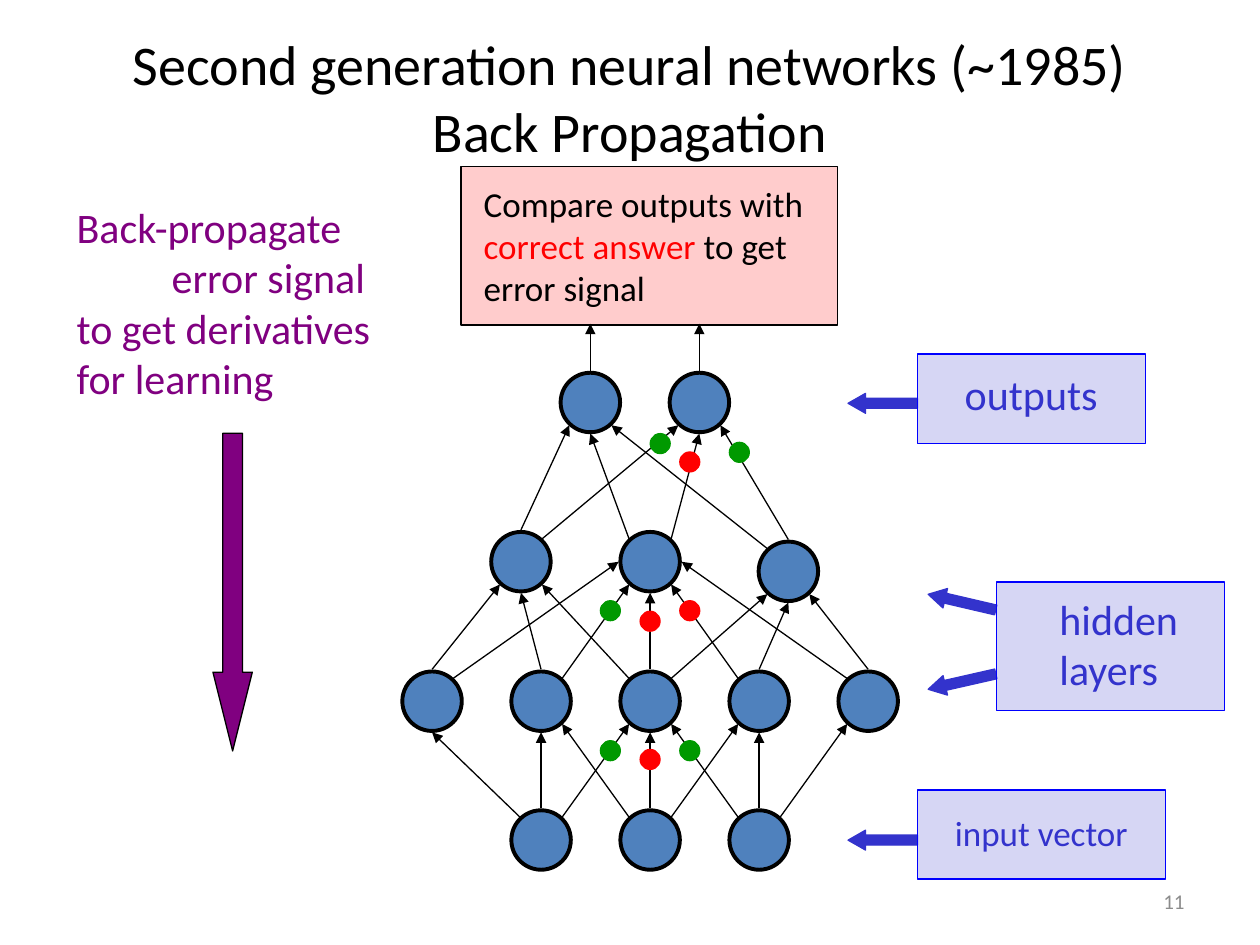
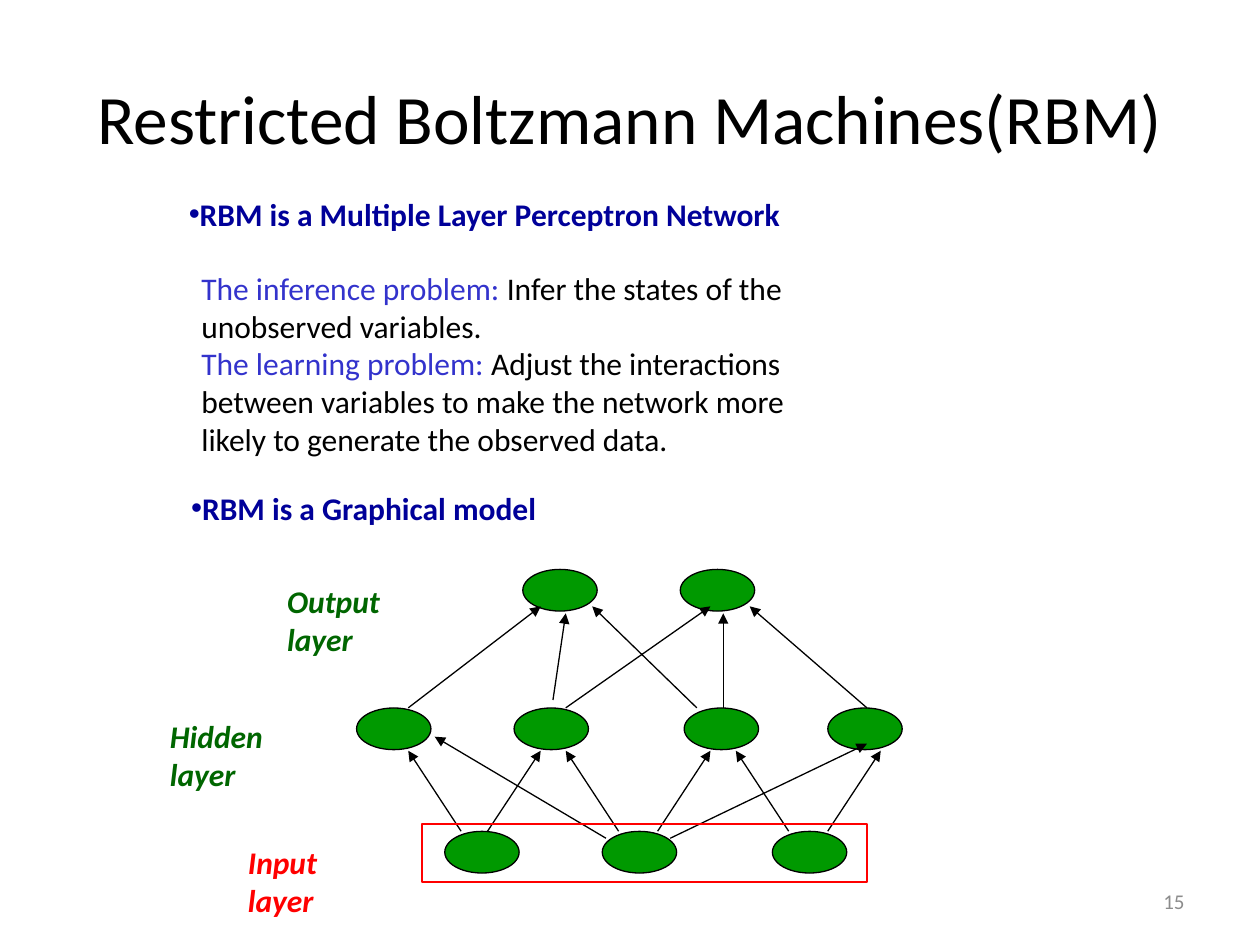
from lxml import etree
from pptx import Presentation
from pptx.dml.color import RGBColor
from pptx.enum import shapes, text
from pptx.oxml.ns import qn
from pptx.util import Pt

FONT = "Calibri"
BLACK = RGBColor(0x00, 0x00, 0x00)
GREY = RGBColor(0x8C, 0x8C, 0x8C)
RED = RGBColor(0xFF, 0x00, 0x00)
GREEN = RGBColor(0x00, 0x99, 0x00)
DARK_GREEN = RGBColor(0x00, 0x66, 0x00)
STEEL = RGBColor(0x4F, 0x81, 0xBD)
INDIGO = RGBColor(0x33, 0x33, 0xCC)
BLUE = RGBColor(0x00, 0x00, 0xFF)
NAVY = RGBColor(0x00, 0x00, 0x99)
PURPLE = RGBColor(0x80, 0x00, 0x80)

OVAL = shapes.MSO_SHAPE.OVAL
RECTANGLE = shapes.MSO_SHAPE.RECTANGLE
LEFT_ARROW = shapes.MSO_SHAPE.LEFT_ARROW
DOWN_ARROW = shapes.MSO_SHAPE.DOWN_ARROW


# Shared building parts

def add_shape(slide, kind, left, top, width, height, fill=None, line=BLACK,
              weight=0.75, opacity=None, adjustments=(), rotation=0):
    shape = slide.shapes.add_shape(kind, Pt(left), Pt(top), Pt(width), Pt(height))
    shape.shadow.inherit = False
    shape.rotation = rotation
    for index, value in enumerate(adjustments):
        shape.adjustments[index] = value
    if fill is None:
        shape.fill.background()
    else:
        shape.fill.solid()
        shape.fill.fore_color.rgb = fill
    if opacity is not None:
        color = shape._element.spPr.find(qn("a:solidFill")).find(qn("a:srgbClr"))
        etree.SubElement(color, qn("a:alpha"), val=str(opacity * 1000))
    shape.line.color.rgb = line
    shape.line.width = Pt(weight)
    return shape


def add_centered_oval(slide, x, y, width, height, fill, line=BLACK, weight=0.75):
    add_shape(slide, OVAL, x - width / 2, y - height / 2, width, height, fill, line, weight)


def add_arrow(slide, x1, y1, x2, y2):
    connector = slide.shapes.add_connector(
        shapes.MSO_CONNECTOR.STRAIGHT, Pt(x1), Pt(y1), Pt(x2), Pt(y2))
    connector.line.color.rgb = BLACK
    connector.line.width = Pt(0.75)
    properties = connector._element.spPr
    etree.SubElement(properties.find(qn("a:ln")), qn("a:tailEnd"), type="triangle")
    etree.SubElement(properties, qn("a:effectLst"))


def add_text(slide, left, top, width, height, paragraphs, size, color=BLACK,
             bold=False, italic=False, align=text.PP_ALIGN.LEFT,
             anchor=text.MSO_ANCHOR.TOP, wrap=True, bullet=False, indents=()):
    """Each paragraph is a string or a list of (words, color) runs."""
    box = slide.shapes.add_textbox(Pt(left), Pt(top), Pt(width), Pt(height))
    frame = box.text_frame
    frame.word_wrap = wrap
    frame.vertical_anchor = anchor
    for index, content in enumerate(paragraphs):
        paragraph = frame.add_paragraph() if index else frame.paragraphs[0]
        paragraph.alignment = align
        properties = paragraph._p.get_or_add_pPr()
        if indents:
            properties.set("marL", str(Pt(indents[index])))
        if bullet:
            etree.SubElement(properties, qn("a:buFont"), typeface="Arial")
            etree.SubElement(properties, qn("a:buChar"), char="•")
        font = paragraph.font
        font.name, font.size, font.bold, font.italic = FONT, Pt(size), bold, italic
        if isinstance(content, str):
            paragraph.text = content
            font.color.rgb = color
        else:
            for words, run_color in content:
                run = paragraph.add_run()
                run.text = words
                run.font.color.rgb = run_color


def add_title(slide, top, height, title, size):
    add_text(slide, 36, top, 648, height, [title], size,
             align=text.PP_ALIGN.CENTER, anchor=text.MSO_ANCHOR.MIDDLE)


def add_page_number(slide, number):
    add_text(slide, 516, 500.5, 168, 28.8, [str(number)], 12, GREY,
             align=text.PP_ALIGN.RIGHT, anchor=text.MSO_ANCHOR.MIDDLE)


# Back propagation slide

# Points around a neuron where arrows start or end
PORTS = {
    "top": (0, -18.2), "bottom": (0, 17.8), "left": (-18, 0), "right": (18, 0),
    "top left": (-12, -13), "top right": (12, -13),
    "bottom left": (-12, 13), "bottom right": (12, 13),
}

# Source neuron, its port, target neuron in the next layer, its port
INPUT_EDGES = [
    edge for i in range(3) for edge in (
        (i, "top left", i, "bottom right" if i else "bottom"),
        (i, "top", i + 1, "bottom"),
        (i, "top right", i + 2, "bottom left"))
]
HIDDEN_EDGES = [
    (0, "top", 0, "bottom left"), (0, "top right", 1, "left"),
    (1, "top", 0, "bottom"), (1, "top right", 1, "bottom left"),
    (2, "top left", 0, "bottom right"), (2, "top", 1, "bottom"),
    (2, "top right", 2, "bottom left"),
    (3, "top left", 1, "bottom right"), (3, "top", 2, "bottom"),
    (4, "top left", 1, "right"), (4, "top", 2, "bottom right"),
]
OUTPUT_EDGES = [
    (0, "top", 0, "bottom left"), (0, "top right", 1, "bottom left"),
    (1, "top left", 0, "bottom"), (1, "top right", 1, "bottom"),
    (2, "top left", 0, "bottom right"), (2, "top", 1, "bottom right"),
]

# Offset from the middle axis, height, colour
WEIGHT_CHANGES = [
    (-22.7, 244, GREEN), (22.7, 244, GREEN), (5.8, 68.5, GREEN), (51, 73.5, GREEN),
    (-22.7, 164, GREEN), (22.7, 164, RED), (0, 170, RED), (0, 249, RED), (22.7, 79, RED),
]


def draw_deep_network(slide, left, top):
    axis, pitch = left + 141.5, 62.3

    def layer(count, y, center):
        return [(center + (i - (count - 1) / 2) * pitch, top + y) for i in range(count)]

    inputs = layer(3, 295, axis)
    lower = layer(5, 215.7, axis)
    upper = [(axis - 73.8, top + 136), (axis, top + 136), (axis + 79, top + 141.5)]
    outputs = layer(2, 45, axis - 3)

    for x, y in inputs + lower + upper + outputs:
        add_centered_oval(slide, x, y, 34, 34, STEEL, weight=2.25)
    for sources, targets, edges in ((inputs, lower, INPUT_EDGES),
                                    (lower, upper, HIDDEN_EDGES),
                                    (upper, outputs, OUTPUT_EDGES)):
        for source, start, target, end in edges:
            (x1, y1), (x2, y2) = sources[source], targets[target]
            (dx1, dy1), (dx2, dy2) = PORTS[start], PORTS[end]
            add_arrow(slide, x1 + dx1, y1 + dy1, x2 + dx2, y2 + dy2)
    for x, y in outputs:
        add_arrow(slide, x, y - 18, x, top)
    for dx, y, color in WEIGHT_CHANGES:
        add_centered_oval(slide, axis + dx, top + y, 11.4, 11.4, color, color)


def draw_layer_label(slide, left, top, width, height, label, size, inset, arrows):
    """inset is the text box's left, top and width; arrows are (top, rotation)."""
    dx, dy, text_width = inset
    add_text(slide, left + dx, top + dy, text_width, height - 2 * dy, [label], size, INDIGO)
    for arrow_top, rotation in arrows:
        add_shape(slide, LEFT_ARROW, left - 39.6, top + arrow_top, 39.6, 11.4,
                  INDIGO, INDIGO, adjustments=(0.5, 0.88), rotation=rotation)
    add_shape(slide, RECTANGLE, left, top, width, height, INDIGO, BLUE, opacity=20)


def draw_comparison(slide, left, top):
    add_shape(slide, RECTANGLE, left, top, 215.3, 90.7, RED, opacity=20)
    add_text(slide, left + 5.8, top + 5.8, 215.3, 79.2, [
        [("Compare outputs with ", BLACK), ("correct answer", RED),
         (" to get error signal", BLACK)]], 20)


def draw_error_signal(slide, left, top):
    add_text(slide, left, top, 193, 122.4,
             ["Back-propagate", "error signal", "to get derivatives for learning"],
             24, PURPLE, indents=(0, 54.3, 0))
    add_shape(slide, DOWN_ARROW, left + 85, top + 136, 22.5, 181.5, PURPLE,
              adjustments=(0.5, 2))


def build_back_propagation(slide):
    draw_comparison(slide, 263.5, 95)
    add_title(slide, 9.4, 91.4,
              "Second generation neural networks (~1985)\nBack Propagation", 32)
    draw_deep_network(slide, 230, 185)
    draw_layer_label(slide, 524.2, 202.3, 130.3, 51, "outputs", 24,
                     (20, 5, 121.7), [(22.5, 0)])
    draw_layer_label(slide, 569.5, 332.6, 130.3, 73.4, "hidden layers", 24,
                     (28.8, 3, 90.7), [(5.8, 13.1), (51.2, -12.8)])
    draw_layer_label(slide, 524.2, 451.4, 141.8, 51, "input vector", 20,
                     (14.4, 8.6, 127.4), [(23, 0)])
    draw_error_signal(slide, 36.7, 111.6)
    add_page_number(slide, 11)


# Restricted Boltzmann machine slide

# Neuron centres by layer: height, then horizontal places
RBM_LAYERS = [(167, (75.4, 165.4, 262.6)),
              (96.5, (25, 115, 212.2, 294.3)),
              (17.3, (120, 210))]

# Start x, y and end x, y
RBM_ARROWS = [
    # Input to hidden
    (63.5, 155, 33.3, 109), (78.6, 155, 109, 109), (146.3, 159, 48.4, 101),
    (153.5, 155, 123.3, 109), (175.8, 155, 206, 109), (183, 159, 295.4, 105),
    (250.7, 155, 220.5, 109), (273, 155, 303.3, 109),
    # Hidden to output
    (33.3, 84.5, 109, 26.5), (116, 80, 123.3, 30.5), (123.3, 84.5, 206, 26.5),
    (198.2, 84.5, 138.4, 26.5), (213.3, 84.5, 213.3, 30.5), (295.4, 84.5, 228.4, 26.5),
]

RBM_LABELS = [("Input layer", -65.4, 158, 80, RED),
              ("Hidden layer", -110, 86, 91, DARK_GREEN),
              ("Output layer", -43, 9, 91, DARK_GREEN)]


def draw_rbm_network(slide, left, top):
    for y, places in RBM_LAYERS:
        for x in places:
            add_centered_oval(slide, left + x, top + y, 42.5, 23.8, GREEN)
    for x1, y1, x2, y2 in RBM_ARROWS:
        add_arrow(slide, left + x1, top + y1, left + x2, top + y2)
    add_shape(slide, RECTANGLE, left + 41.2, top + 150.8, 254.2, 33.2, line=RED)
    for label, x, y, width, color in RBM_LABELS:
        add_text(slide, left + x, top + y, width, 21, [label], 18, color,
                 bold=True, italic=True)


def draw_statement(slide, left, top, width, words):
    add_text(slide, left, top, width, 28.8, [words], 18, NAVY,
             bold=True, wrap=False, bullet=True)


def draw_problems(slide, left, top):
    problems = [
        ("The inference problem:", " Infer the states of the unobserved variables."),
        ("The learning problem:", " Adjust the interactions between variables to make "
                                  "the network more likely to generate the observed data."),
    ]
    add_text(slide, left, top, 360, 116.6,
             [[(name, INDIGO), (task, BLACK)] for name, task in problems], 18)


def build_boltzmann_machine(slide):
    add_title(slide, 21.6, 90, "Restricted Boltzmann Machines(RBM)", 39.6)
    draw_statement(slide, 100.8, 108, 355.7, "RBM is a Multiple Layer Perceptron Network")
    draw_problems(slide, 108, 150)
    draw_statement(slide, 102.2, 275.8, 213, "RBM is a Graphical model")
    draw_rbm_network(slide, 200, 320)
    add_page_number(slide, 15)


def main():
    presentation = Presentation()
    presentation.slide_width, presentation.slide_height = Pt(720), Pt(540)
    for build in (build_back_propagation, build_boltzmann_machine):
        build(presentation.slides.add_slide(presentation.slide_layouts[6]))
    presentation.save("out.pptx")


if __name__ == "__main__":
    main()
